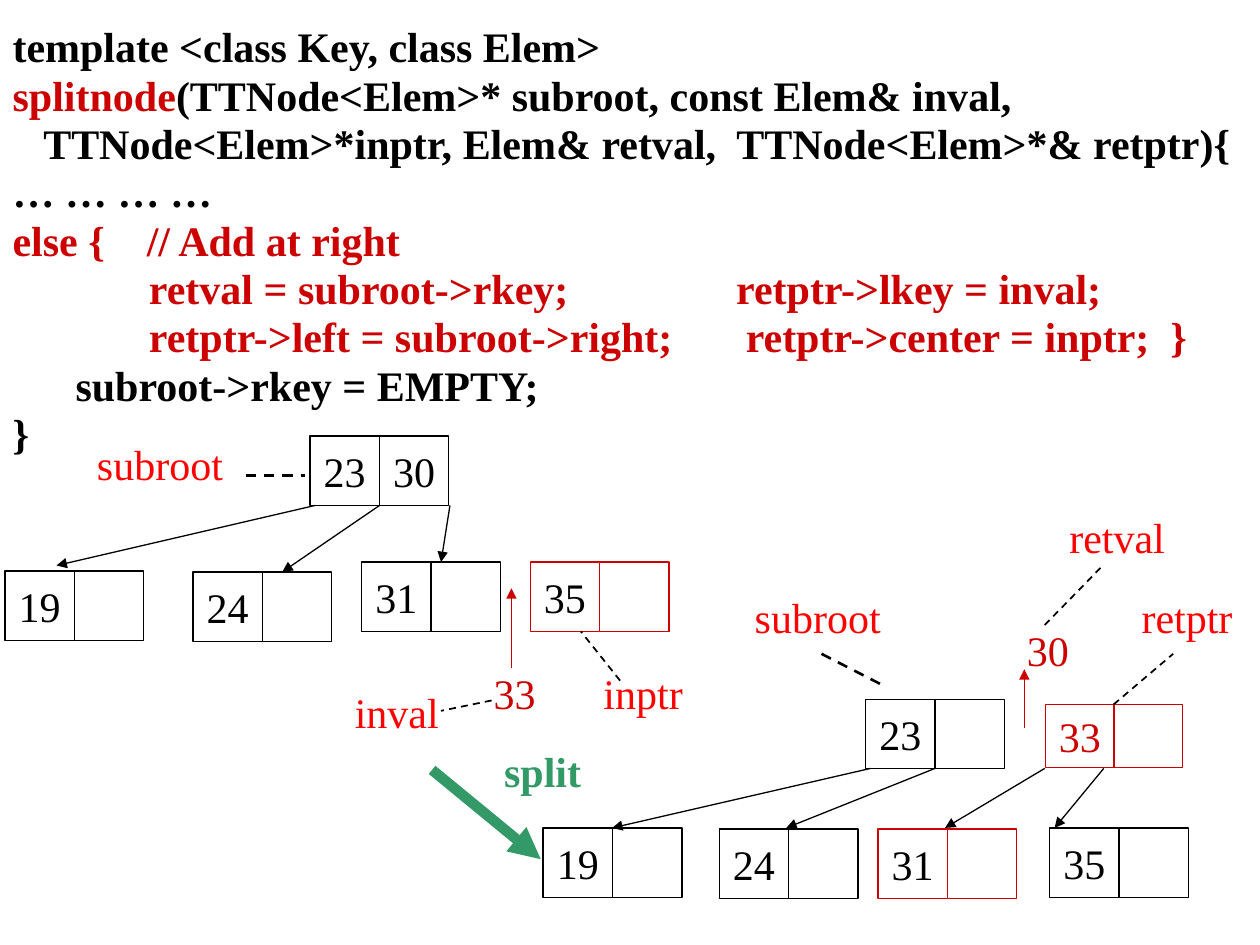
from lxml.etree import SubElement
from pptx import Presentation
from pptx.dml.color import RGBColor
from pptx.enum.dml import MSO_LINE_DASH_STYLE as Dash
from pptx.enum.shapes import MSO_CONNECTOR as Connector, MSO_SHAPE as Shape
from pptx.enum.text import MSO_ANCHOR as Anchor, MSO_AUTO_SIZE as AutoSize, PP_ALIGN as Align
from pptx.oxml.ns import qn
from pptx.util import Cm, Pt

COLORS = {"black": "000000", "white": "FFFFFF", "crimson": "CC0000",
          "red": "FF0000", "green": "339966"}

CODE = [
    [("template <class Key, class Elem>", "black")],
    [("splitnode", "crimson"),
     ("(TTNode<Elem>* subroot, const Elem& inval,", "black")],
    [("   TTNode<Elem>*inptr, Elem& retval,  TTNode<Elem>*& retptr){", "black")],
    [("… … … …", "black")],
    [("else {    // Add at right", "crimson")],
    [("             retval = subroot->rkey;                retptr->lkey = inval;", "crimson")],
    [("             retptr->left = subroot->right;       retptr->center = inptr;  }", "crimson")],
    [("      subroot->rkey = EMPTY;", "black")],
    [("}", "black")],
]

# left, top, keys of the two cells
BLACK_NODES = [
    (6.25, 8.79, ("23", "30")), (0.1, 11.51, ("19", "")),
    (3.89, 11.53, ("24", "")), (7.29, 11.33, ("31", "")),
    (17.45, 14.1, ("23", "")), (10.95, 16.69, ("19", "")),
    (14.5, 16.71, ("24", "")),
]
RED_NODES = [(10.69, 11.33, ("35", "")), (17.7, 16.71, ("31", ""))]

# start x, start y, end x, end y
CHILD_ARROWS = [
    (6.35, 10.19, 1.14, 11.4), (7.65, 10.19, 5.69, 11.53),
    (9.07, 10.19, 8.89, 11.33), (17.55, 15.49, 12.34, 16.69),
    (18.85, 15.49, 15.85, 16.69), (21.06, 15.49, 19.05, 16.69),
    (22.25, 15.49, 21.26, 16.69),
]
PROMOTION_ARROWS = [(10.31, 13.46, 10.31, 11.86), (20.65, 14.68, 20.65, 13.49)]
SUBROOT_POINTERS = [(4.95, 9.58, 6.15, 9.58), (16.56, 13.18, 17.75, 13.79)]
VALUE_POINTERS = [
    (9.91, 14.12, 8.89, 14.33), (21.06, 12.6, 22.25, 11.38),
    (22.45, 14.2, 23.65, 13.18), (12.5, 13.72, 11.71, 12.73),
]

# text, left, top, width
NAMES = [
    ("subroot", 1.7, 8.71, 3.05), ("inptr", 11.91, 13.34, 2.11),
    ("inval", 6.85, 13.72, 2.3), ("retval", 21.29, 10.19, 2.46),
    ("retptr", 22.76, 11.79, 2.34), ("subroot", 14.96, 11.79, 3.05),
]
MOVING_KEYS = [("33", 9.7, 13.34, 1.35), ("30", 20.45, 12.47, 1.35)]


class TreeSlide:
    font = "Times New Roman"
    size = Pt(24)
    cell = 1.4

    def __init__(self, page):
        self.page = page

    def add_span(self, para, text, color, bold=False):
        span = para.add_run()
        span.text = text
        span.font.name, span.font.size, span.font.bold = self.font, self.size, bold
        span.font.color.rgb = RGBColor.from_string(COLORS[color])

    def add_code(self, lines, left, top, width, height):
        self.page.shapes.title.element.getparent().remove(self.page.shapes.title.element)
        body = self.page.placeholders[1]
        body.left, body.top, body.width, body.height = map(Cm, (left, top, width, height))
        frame = body.text_frame
        frame.auto_size = AutoSize.NONE
        frame.vertical_anchor = Anchor.TOP
        for index, spans in enumerate(lines):
            para = frame.add_paragraph() if index else frame.paragraphs[0]
            para.line_spacing = 0.75
            para.space_before = Pt(6 if index else 0)
            para.alignment = Align.LEFT
            props = para._p.get_or_add_pPr()
            props.set("marL", str(Cm(0.95)))
            props.set("indent", str(Cm(-0.95)))
            SubElement(props, qn("a:buNone"))
            for text, color in spans:
                self.add_span(para, text, color, bold=True)

    def add_node(self, left, top, keys, line="black", text="black", fill=None,
                 width=cell, height=cell):
        """Draw a tree node as a group of two adjoining key cells."""
        group = self.page.shapes.add_group_shape()
        for index, key in enumerate(keys):
            box = group.shapes.add_shape(Shape.RECTANGLE, Cm(left + index * width), Cm(top),
                                         Cm(width), Cm(height))
            box.shadow.inherit = False
            if fill:
                box.fill.solid()
                box.fill.fore_color.rgb = RGBColor.from_string(COLORS[fill])
            else:
                box.fill.background()
            box.line.color.rgb = RGBColor.from_string(COLORS[line])
            box.line.width = Pt(0.75)
            if key:
                box.text_frame.word_wrap = False
                box.text_frame.vertical_anchor = Anchor.MIDDLE
                para = box.text_frame.paragraphs[0]
                para.alignment = Align.CENTER
                self.add_span(para, key, text)

    def add_label(self, text, left, top, width, color, bold=False):
        box = self.page.shapes.add_textbox(Cm(left), Cm(top), Cm(width), Cm(1.27))
        box.text_frame.word_wrap = False
        box.text_frame.auto_size = AutoSize.SHAPE_TO_FIT_TEXT
        para = box.text_frame.paragraphs[0]
        para.alignment = Align.CENTER
        self.add_span(para, text, color, bold)

    def add_line(self, ends, color="black", width=0.75, dashed=False):
        """Draw a dashed pointer, or a solid arrow when not dashed."""
        line = self.page.shapes.add_connector(Connector.STRAIGHT, *map(Cm, ends))
        line.line.color.rgb = RGBColor.from_string(COLORS[color])
        line.line.width = Pt(width)
        if dashed:
            line.line.dash_style = Dash.DASH
        else:
            SubElement(line.line._get_or_add_ln(), qn("a:tailEnd"), type="triangle")
        SubElement(line._element.spPr, qn("a:effectLst"))


def main():
    deck = Presentation()
    deck.slide_width, deck.slide_height = Cm(25.4), Cm(19.05)
    tree = TreeSlide(deck.slides.add_slide(deck.slide_layouts[1]))

    tree.add_code(CODE, 0, 0.53, 25.4, 18)

    for node in BLACK_NODES:
        tree.add_node(*node)
    for node in RED_NODES:
        tree.add_node(*node, line="crimson")
    tree.add_node(21.08, 14.2, ("33", ""), line="crimson", text="crimson",
                  width=1.38, height=1.27)
    tree.add_node(21.16, 16.69, ("35", ""), fill="white")

    for ends in CHILD_ARROWS:
        tree.add_line(ends)
    for ends in PROMOTION_ARROWS:
        tree.add_line(ends, "crimson")
    for ends in SUBROOT_POINTERS:
        tree.add_line(ends, width=1.5, dashed=True)
    for ends in VALUE_POINTERS:
        tree.add_line(ends, width=1, dashed=True)
    tree.add_line((8.71, 15.52, 10.9, 17.32), "green", width=6)

    for name in NAMES:
        tree.add_label(*name, "red")
    for key in MOVING_KEYS:
        tree.add_label(*key, "crimson")
    tree.add_label("split", 9.91, 14.91, 2.06, "green", bold=True)

    deck.save("out.pptx")


if __name__ == "__main__":
    main()
